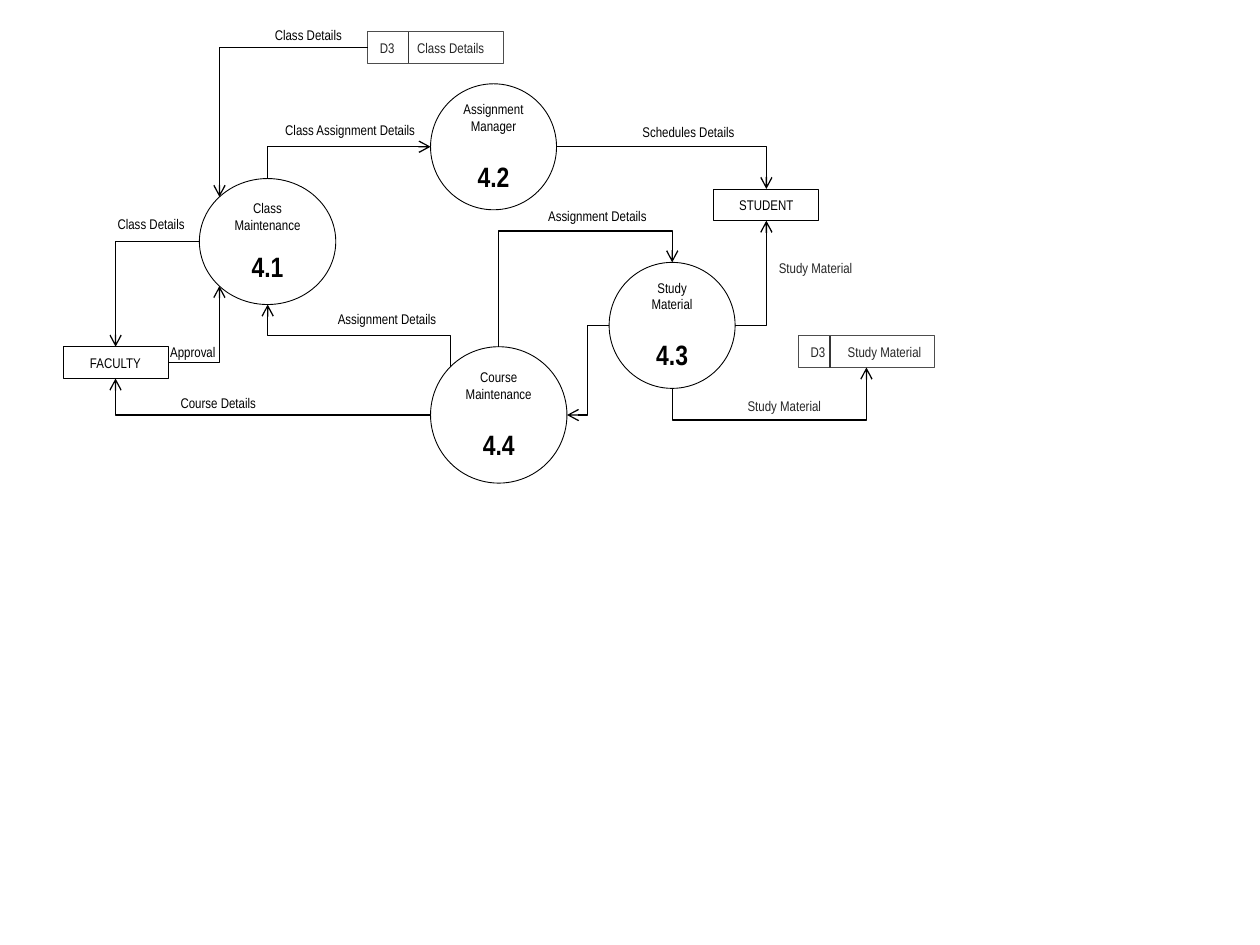
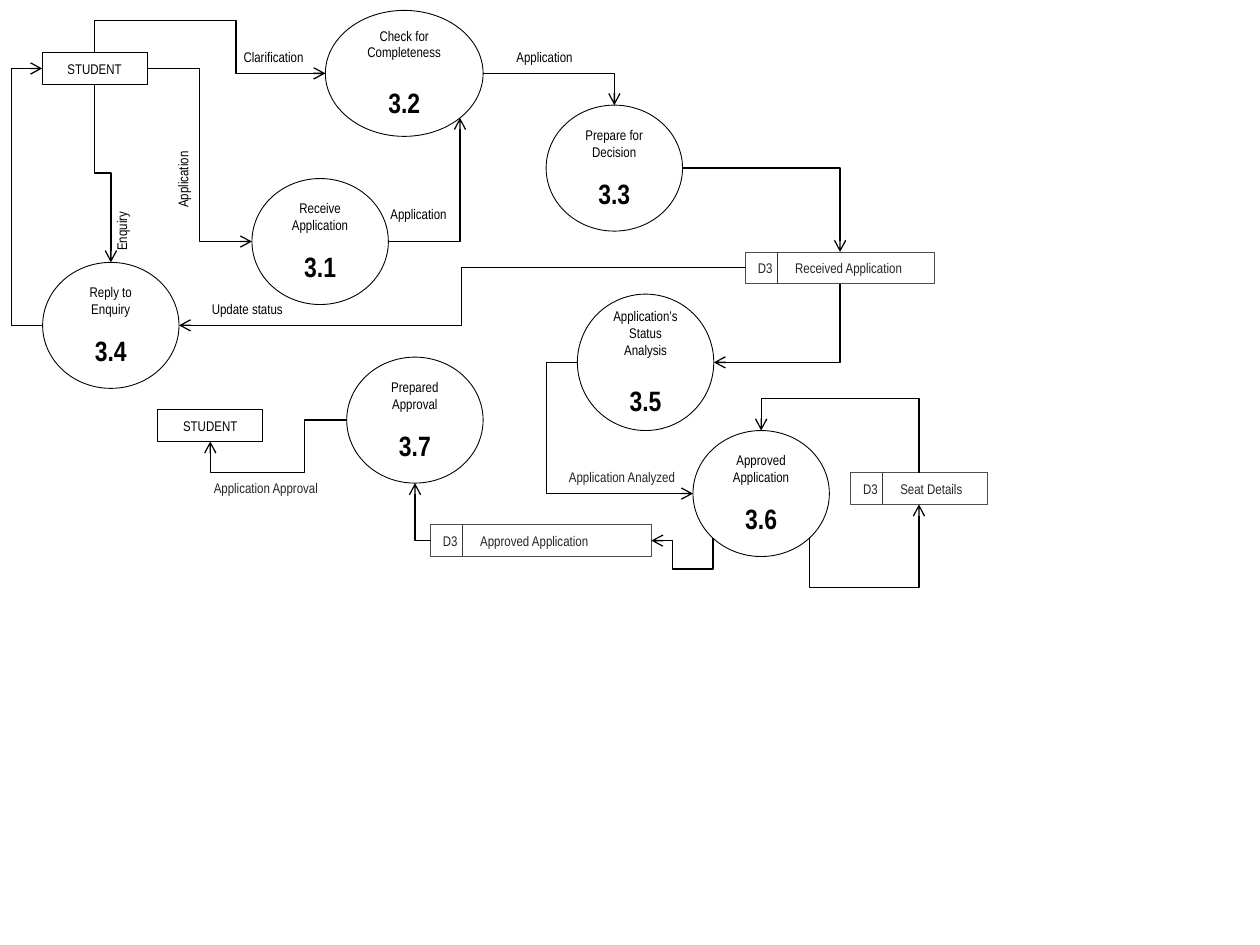
from dataclasses import dataclass
from enum import IntEnum
from math import cos, radians, sin

from lxml.etree import SubElement
from pptx import Presentation
from pptx.dml.color import RGBColor
from pptx.enum.shapes import MSO_CONNECTOR as Wire, MSO_SHAPE as Form
from pptx.enum.text import MSO_ANCHOR as Anchor, MSO_AUTO_SIZE as Fit, PP_ALIGN as Align
from pptx.oxml.ns import qn
from pptx.util import Cm, Pt


class Side(IntEnum):
    TOP = 0
    TOP_LEFT = 45
    LEFT = 90
    LOW_LEFT = 135
    LOW = 180
    LOW_RIGHT = 225
    RIGHT = 270


@dataclass(frozen=True)
class Theme:
    font: str = "Arial Narrow"
    ink: str = "000000"
    paper: str = "FFFFFF"
    soft: str = "262626"
    edge: str = "4D4D4D"
    split: str = "363636"
    small: float = 8
    large: float = 16
    thin: float = 0.5
    wire: float = 0.75
    near: float = 9.5
    far: float = 14.5
    tab: float = 0.75


T, L, B, R = Side.TOP, Side.LEFT, Side.LOW, Side.RIGHT
LOOK = Theme()


def write(frame, text, size=LOOK.small, color=LOOK.ink, bold=False,
          align=Align.LEFT, gap=0, tab=None):
    para = frame.paragraphs[0] if not frame.text else frame.add_paragraph()
    para.alignment = align
    if gap:
        para.space_before = Pt(gap)
    if tab:
        tabs = SubElement(para._p.get_or_add_pPr(), qn("a:tabLst"))
        SubElement(tabs, qn("a:tab"), pos=str(Cm(tab)), algn="l")
    run = para.add_run()
    run.text = text
    run.font.name = LOOK.font
    run.font.size = Pt(size)
    run.font.bold = bold
    run.font.color.rgb = RGBColor.from_string(color)


def spot(node, side):
    turn = radians(side)
    return (node.left + node.width / 2 * (1 - sin(turn)),
            node.top + node.height / 2 * (1 - cos(turn)))


def site(node, side):
    return side // (45 if node.auto_shape_type == Form.OVAL else 90)


class Chart:
    def __init__(self, look):
        self.look = look
        self.deck = Presentation()
        self.deck.slide_width, self.deck.slide_height = Cm(25.4), Cm(19.05)
        self.shapes = None

    def page(self):
        self.shapes = self.deck.slides.add_slide(self.deck.slide_layouts[6]).shapes

    def node(self, form, x, y, w, h, edge):
        node = self.shapes.add_shape(form, Cm(x), Cm(y), Cm(w), Cm(h))
        node.shadow.inherit = False
        node.fill.solid()
        node.fill.fore_color.rgb = RGBColor.from_string(self.look.paper)
        node.line.color.rgb = RGBColor.from_string(edge)
        node.line.width = Pt(self.look.thin)
        node.text_frame.word_wrap = True
        node.text_frame.vertical_anchor = Anchor.MIDDLE
        return node

    def task(self, code, text, x, y, w=2.75, h=2.54, gap=LOOK.near):
        node = self.node(Form.OVAL, x, y, w, h, self.look.ink)
        write(node.text_frame, text, align=Align.CENTER)
        write(node.text_frame, code, size=self.look.large, bold=True,
              align=Align.CENTER, gap=gap)
        return node

    def actor(self, text, x, y):
        node = self.node(Form.RECTANGLE, x, y, 2.12, 0.64, self.look.ink)
        write(node.text_frame, text, align=Align.CENTER)
        return node

    def store(self, text, x, y, w=2.75, cut=0.64):
        node = self.node(Form.RECTANGLE, x, y, w, 0.64, self.look.edge)
        write(node.text_frame, f"D3\t{text}", color=self.look.soft, tab=self.look.tab)
        line = self.shapes.add_connector(
            Wire.STRAIGHT, Cm(x + cut), Cm(y), Cm(x + cut), Cm(y + 0.64))
        self.ink(line, self.look.split)
        return node

    def ink(self, line, color, head=None):
        line.line.color.rgb = RGBColor.from_string(color)
        line.line.width = Pt(self.look.wire)
        props = line._element.spPr
        if head:
            SubElement(props.find(qn("a:ln")), qn(head), type="arrow")
        SubElement(props, qn("a:effectLst"))

    def flow(self, start, out, end, into, *bends, back=False):
        (x, y), (u, v) = spot(start, out), spot(end, into)
        wide, tall = u - x, v - y
        flat = out in (L, R)
        line = self.shapes.add_connector(Wire.ELBOW, 0, 0, 0, 0)
        w, h = (abs(wide), abs(tall)) if flat else (abs(tall), abs(wide))
        line.left, line.top = round((x + u - w) / 2), round((y + v - h) / 2)
        line.width, line.height = round(w), round(h)
        if flat:
            turn, flip_h, flip_v = 180 * (wide < 0), False, wide * tall < 0
        elif wide * tall > 0:
            turn, flip_h, flip_v = 270, tall > 0, wide < 0
        else:
            turn, flip_h, flip_v = 90, tall < 0, wide > 0
        frame = line._element.spPr.find(qn("a:xfrm"))
        for key, on in (("flipH", flip_h), ("flipV", flip_v)):
            if on:
                frame.set(key, "1")
        if turn:
            frame.set("rot", str(turn * 60000))
        shape = line._element.spPr.find(qn("a:prstGeom"))
        shape.set("prst", f"bentConnector{len(bends) + 2}")
        axes = [(x, wide), (y, tall)] if flat else [(y, tall), (x, wide)]
        for k, (bend, (base, span)) in enumerate(zip(bends, axes), 1):
            part = round((Cm(bend) - base) / span * 100000)
            SubElement(shape.find(qn("a:avLst")), qn("a:gd"),
                       name=f"adj{k}", fmla=f"val {part}")
        joint = line._element.find(".//" + qn("p:cNvCxnSpPr"))
        for tag, node, side in (("a:stCxn", start, out), ("a:endCxn", end, into)):
            SubElement(joint, qn(tag), id=str(node.shape_id), idx=str(site(node, side)))
        self.ink(line, self.look.ink, "a:headEnd" if back else "a:tailEnd")

    def label(self, text, x, y, w=2.12, turn=0, wrap=True, color=LOOK.ink):
        box = self.shapes.add_textbox(Cm(x), Cm(y), Cm(w), Cm(0.61))
        box.rotation = turn
        box.text_frame.word_wrap = wrap
        box.text_frame.auto_size = Fit.SHAPE_TO_FIT_TEXT
        write(box.text_frame, text, color=color)

    def note(self, text, x, y, w):
        self.label(text, x, y, w, wrap=False, color=self.look.soft)


def classes(art):
    art.page()
    far = art.look.far
    keep = art.task("4.1", "Class Maintenance", 4.02, 3.6)
    study = art.task("4.3", "Study Material", 12.28, 5.29, w=2.54, gap=far)
    course = art.task("4.4", "Course Maintenance", 8.68, 6.99, h=2.75, gap=far)
    lead = art.task("4.2", "Assignment Manager", 8.68, 1.69, w=2.54, gap=far)
    staff = art.actor("FACULTY", 1.27, 6.99)
    books = art.store("Study Material", 16.09, 6.77)
    rolls = art.store("Class Details", 7.41, 0.64, cut=0.83)
    pupil = art.actor("STUDENT", 14.39, 3.81)

    art.flow(keep, L, staff, T)
    art.flow(staff, B, course, L, back=True)
    art.flow(keep, T, lead, L)
    art.flow(lead, R, pupil, T)
    art.flow(study, R, pupil, B)
    art.flow(study, B, books, B, 8.47)
    art.flow(study, L, course, R, 11.85)
    art.flow(course, T, study, T, 4.66)
    art.flow(course, Side.TOP_LEFT, keep, B, 6.76)
    art.flow(staff, R, keep, Side.LOW_LEFT)
    art.flow(keep, Side.TOP_LEFT, rolls, L, back=True)

    for text, x, y, w in (
        ("Class Details", 2.12, 4.23, 2.12),
        ("Approval", 3.18, 6.81, 2.12),
        ("Class Details", 5.29, 0.42, 2.12),
        ("Course Details", 3.39, 7.83, 2.12),
        ("Assignment Details", 6.56, 6.14, 2.75),
        ("Class Assignment Details", 5.5, 2.33, 3.39),
        ("Schedules Details", 12.7, 2.37, 4.02),
        ("Assignment Details", 10.8, 4.06, 2.75),
    ):
        art.label(text, x, y, w)
    for x, y in ((14.82, 7.88), (15.45, 5.11)):
        art.note("Study Material", x, y, 2.06)


def entries(art):
    art.page()
    far = art.look.far
    take = art.task("3.1", "Receive Application", 5.08, 3.6)
    rate = art.task("3.5", "Application’s Status Analysis", 11.64, 5.93, h=2.75, gap=far)
    check = art.task("3.2", "Check for Completeness", 6.56, 0.21, w=3.18, gap=far)
    plan = art.task("3.3", "Prepare for Decision", 11.01, 2.12)
    reply = art.task("3.4", "Reply to Enquiry", 0.86, 5.29)
    grant = art.task("3.6", "Approved Application", 13.97, 8.68)
    draft = art.task("3.7", "Prepared Approval", 6.99, 7.2)
    pupil = art.actor("STUDENT", 0.85, 1.06)
    told = art.actor("STUDENT", 3.18, 8.26)
    inbox = art.store("Received Application", 15.03, 5.08, w=3.81)
    seats = art.store("Seat Details", 17.15, 9.53)
    passed = art.store("Approved Application", 8.68, 10.58, w=4.45)

    art.flow(grant, L, rate, L, 11.01, back=True)
    art.flow(pupil, R, take, L, 4.02)
    art.flow(check, R, plan, T)
    art.flow(reply, L, pupil, L, 0.23)
    art.flow(inbox, B, rate, R)
    art.flow(reply, T, pupil, B, 3.49, back=True)
    art.flow(pupil, T, check, L, 0.42, 4.76)
    art.flow(inbox, T, plan, R, back=True)
    art.flow(take, R, check, Side.LOW_RIGHT)
    art.flow(reply, R, inbox, L, 9.31, back=True)
    art.flow(seats, B, grant, Side.LOW_RIGHT, 11.85, back=True)
    art.flow(grant, T, seats, T, 8.04, back=True)
    art.flow(passed, R, grant, Side.LOW_LEFT, 13.55, 11.47, back=True)
    art.flow(draft, B, passed, L, back=True)
    art.flow(told, B, draft, L, 9.53, 6.14, back=True)

    for text, x, y, w, turn in (
        ("Clarification", 4.66, 0.85, 2.12, 0),
        ("Enquiry", 1.4, 3.94, 2.12, 270),
        ("Update status", 4.02, 5.93, 2.12, 0),
        ("Application", 2.74, 3.18, 1.91, 270),
        ("Application", 7.62, 4.02, 1.91, 0),
        ("Application", 10.16, 0.85, 1.91, 0),
    ):
        art.label(text, x, y, w, turn)
    art.note("Application Analyzed", 11.22, 9.33, 2.72)
    art.note("Application Approval", 4.06, 9.55, 2.72)


def main():
    art = Chart(LOOK)
    classes(art)
    entries(art)
    art.deck.save("out.pptx")


if __name__ == "__main__":
    main()
